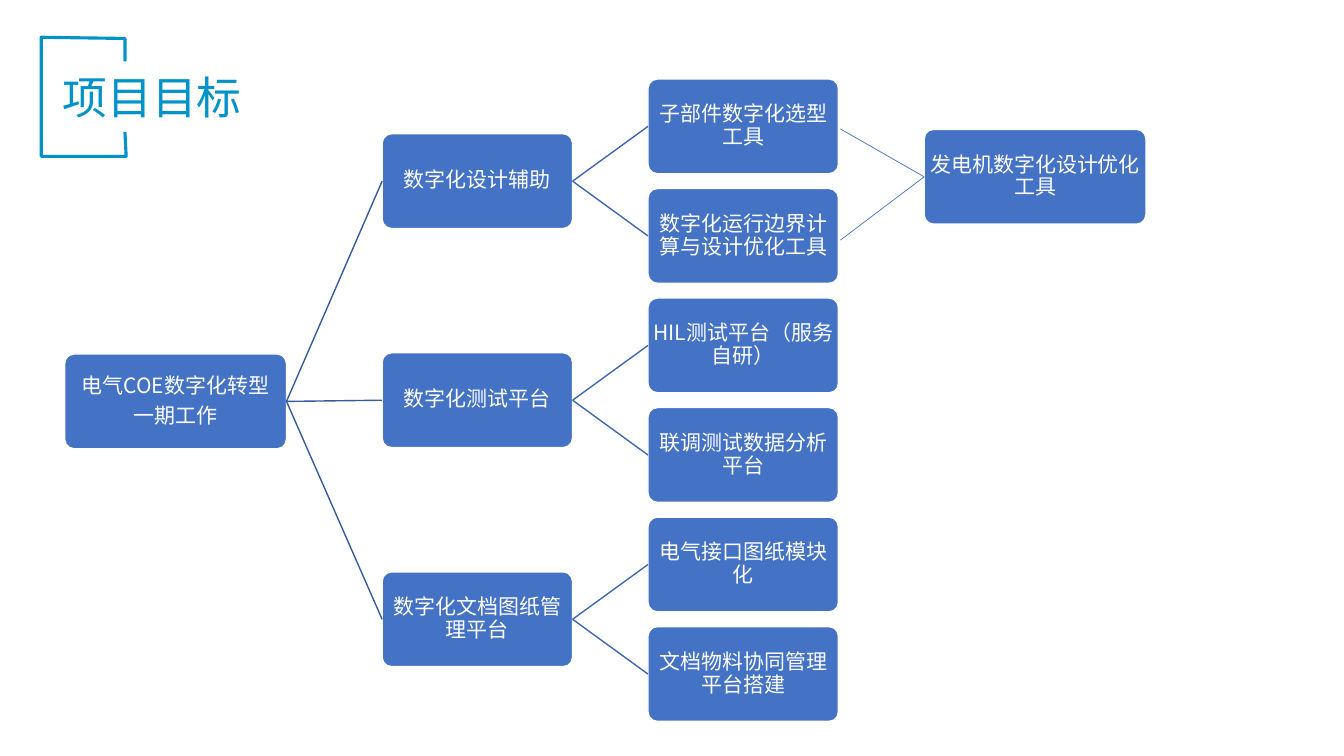
"""Build the project goals slide: a tree of digital work packages."""
import dataclasses

import lxml.etree
import pptx
import pptx.dml.color
import pptx.enum.shapes
import pptx.enum.text
import pptx.oxml.ns
import pptx.util

Cm = pptx.util.Cm


@dataclasses.dataclass(frozen=True)
class Theme:
    font: str = "Noto Sans CJK SC"
    title_size: float = 32
    box_size: float = 15
    accent: str = "0093CA"
    box_fill: str = "4472C4"
    white: str = "FFFFFF"
    root_link: str = "365B9D"
    branch_link: str = "3E67B2"


BOX_HEIGHT = 2.39
NARROW, WIDE = 4.8, 5.59
TOOL_TOP, TOOL_PITCH = 1.99, 2.76
ROOT_LEFT, BRANCH_LEFT, TOOL_LEFT, RESULT_LEFT = 1.63, 9.63, 16.33, 23.29
ROOT_TOP, RESULT_TOP = 8.92, 3.26
MERGE_LEFT, MERGE_TOPS = 21.18, (3.25, 6.05)
FRAME = [(3.15, 3.33), (3.18, 3.94), (1.04, 3.94), (1.04, 0.94), (3.15, 0.97), (3.15, 1.55)]

ROOT = ["电气COE数字化转型", "一期工作"]
BRANCHES = {
    "数字化设计辅助": ["子部件数字化选型工具", "数字化运行边界计算与设计优化工具"],
    "数字化测试平台": ["HIL测试平台（服务自研）", "联调测试数据分析平台"],
    "数字化文档图纸管理平台": ["电气接口图纸模块化", "文档物料协同管理平台搭建"],
}
RESULT = ["发电机数字化设计优化工具"]


def apply(target, values):
    for name, value in values.items():
        setattr(target, name, value)


class GoalSlide:
    def __init__(self, deck, theme):
        self.theme = theme
        self.page = deck.slides.add_slide(deck.slide_layouts[5])
        self.shapes = self.page.shapes

    def color(self, value):
        return pptx.dml.color.RGBColor.from_string(value)

    def outline(self, shape, color, width):
        shape.line.color.rgb = self.color(color)
        shape.line.width = pptx.util.Pt(width)

    def fill_text(self, frame, lines, size, color, frame_format, para_format):
        apply(frame, {"word_wrap": True,
                      "vertical_anchor": pptx.enum.text.MSO_ANCHOR.MIDDLE,
                      **frame_format})
        for index, line in enumerate(lines):
            para = frame.add_paragraph() if index else frame.paragraphs[0]
            apply(para, para_format)
            span = para.add_run()
            span.text = line
            apply(span.font, {"name": self.theme.font, "size": pptx.util.Pt(size)})
            span.font.color.rgb = self.color(color)
            east_asian = lxml.etree.SubElement(
                span.font._element, pptx.oxml.ns.qn("a:ea"))
            east_asian.set("typeface", self.theme.font)

    def title(self, text):
        holder = self.shapes.title
        apply(holder, {"left": Cm(1.32), "top": Cm(1.63),
                       "width": Cm(24.77), "height": Cm(1.63)})
        self.fill_text(holder.text_frame, [text], self.theme.title_size, self.theme.accent,
                       {"margin_top": 0, "margin_bottom": 0},
                       {"alignment": pptx.enum.text.PP_ALIGN.LEFT})

    def frame(self, points):
        start, *rest = [(Cm(x), Cm(y)) for x, y in points]
        builder = self.shapes.build_freeform(*start)
        builder.add_line_segments(rest, close=False)
        bracket = builder.convert_to_shape()
        bracket.shadow.inherit = False
        bracket.fill.background()
        self.outline(bracket, self.theme.accent, 2.25)

    def box(self, lines, left, top, width=NARROW):
        box = self.shapes.add_shape(
            pptx.enum.shapes.MSO_SHAPE.ROUNDED_RECTANGLE,
            Cm(left), Cm(top), Cm(width), Cm(BOX_HEIGHT))
        box.adjustments[0] = 0.1
        box.shadow.inherit = False
        box.fill.solid()
        box.fill.fore_color.rgb = self.color(self.theme.box_fill)
        self.outline(box, self.theme.white, 1)
        sides = ("left", "top", "right", "bottom")
        self.fill_text(box.text_frame, lines, self.theme.box_size, self.theme.white,
                       {f"margin_{side}": Cm(0.03) for side in sides},
                       {"alignment": pptx.enum.text.PP_ALIGN.CENTER, "line_spacing": 0.9,
                        "space_after": pptx.util.Pt(5.25)})
        return box

    def line_to(self, target, color, width, x=0, y=0):
        link = self.shapes.add_connector(
            pptx.enum.shapes.MSO_CONNECTOR.STRAIGHT, Cm(x), Cm(y), Cm(x), Cm(y))
        link.end_connect(target, 1)
        self.outline(link, color, width)
        lxml.etree.SubElement(link._element.spPr, pptx.oxml.ns.qn("a:effectLst"))
        return link

    def join(self, source, target, color):
        self.line_to(target, color, 1).begin_connect(source, 3)


def main():
    deck = pptx.Presentation()
    apply(deck, {"slide_width": Cm(33.87), "slide_height": Cm(19.05)})
    theme = Theme()
    slide = GoalSlide(deck, theme)
    slide.frame(FRAME)
    slide.title("项目目标")

    root = slide.box(ROOT, ROOT_LEFT, ROOT_TOP, WIDE)
    for index, (name, tools) in enumerate(BRANCHES.items()):
        first_top = TOOL_TOP + index * len(tools) * TOOL_PITCH
        branch = slide.box([name], BRANCH_LEFT, first_top + TOOL_PITCH / 2)
        slide.join(root, branch, theme.root_link)
        for row, tool in enumerate(tools):
            tool_box = slide.box([tool], TOOL_LEFT, first_top + row * TOOL_PITCH)
            slide.join(branch, tool_box, theme.branch_link)

    result = slide.box(RESULT, RESULT_LEFT, RESULT_TOP, WIDE)
    for top in MERGE_TOPS:
        slide.line_to(result, theme.box_fill, 0.5, MERGE_LEFT, top)
    deck.save("out.pptx")


if __name__ == "__main__":
    main()
